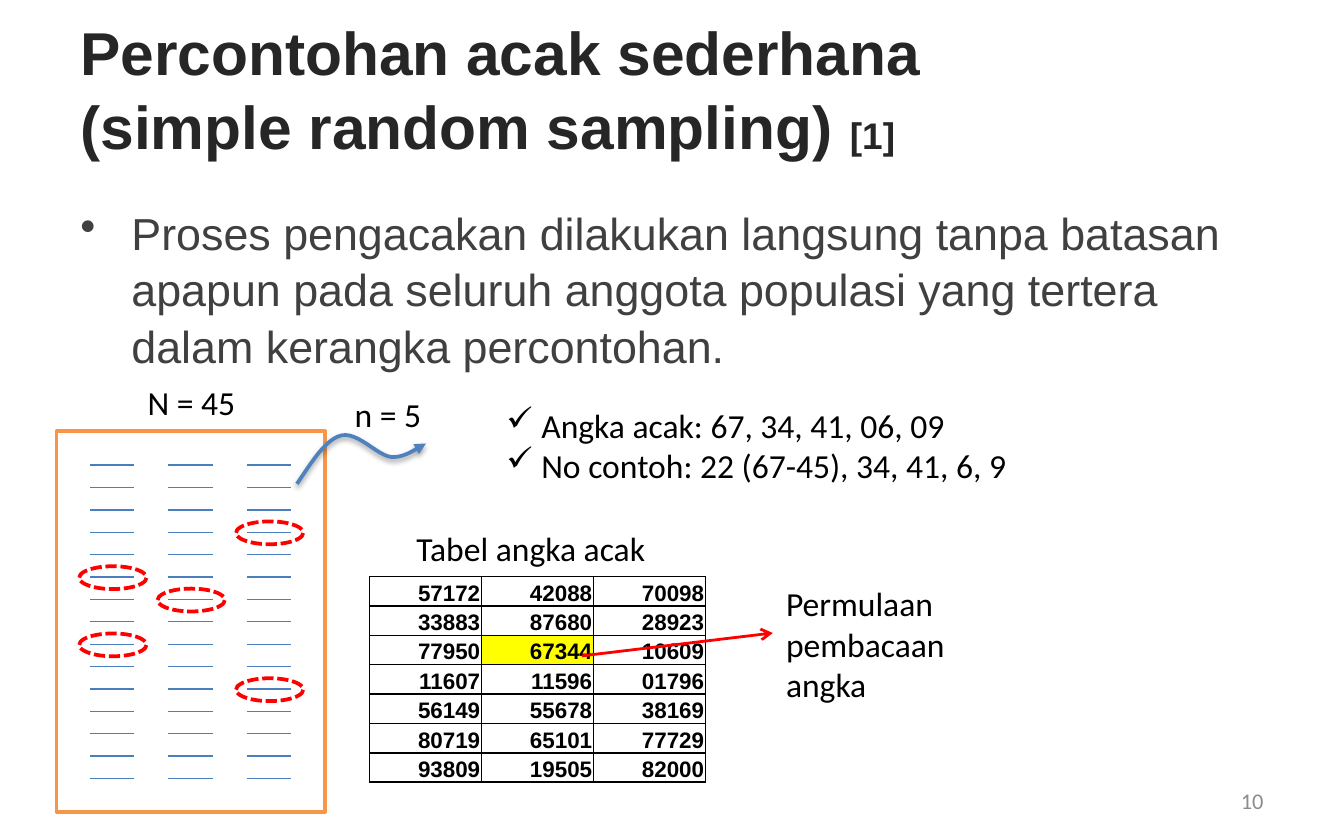
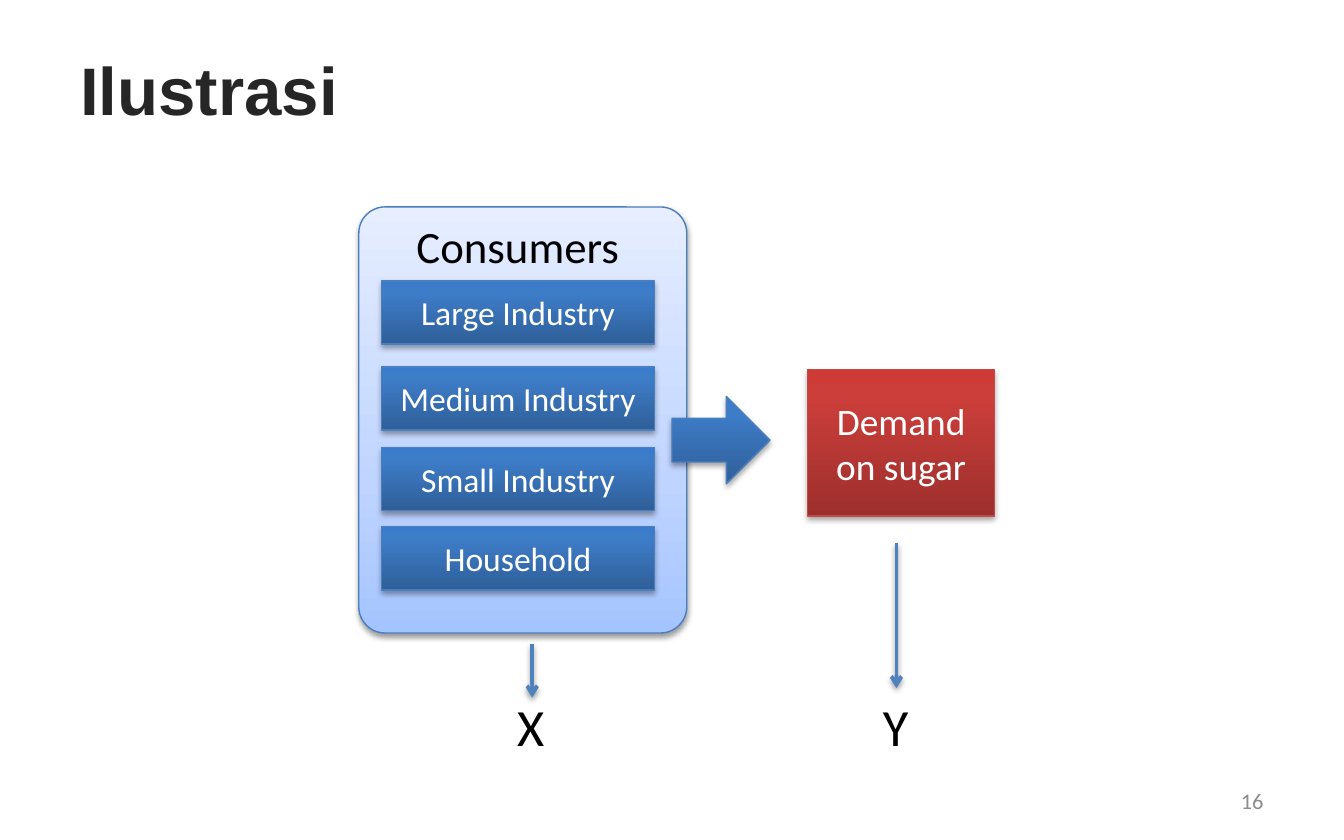
"""Build two slides on simple random sampling and a sugar demand illustration."""
import copy
from dataclasses import dataclass

import pptx
import pptx.dml.color
import pptx.enum.dml
import pptx.enum.shapes
import pptx.enum.text
import pptx.oxml.ns
import pptx.util
from lxml import etree

Inches = pptx.util.Inches
Pt = pptx.util.Pt
RGB = pptx.dml.color.RGBColor.from_string
qn = pptx.oxml.ns.qn
ALIGN = pptx.enum.text.PP_ALIGN
ANCHOR = pptx.enum.text.MSO_ANCHOR
SHAPE = pptx.enum.shapes.MSO_SHAPE
STRAIGHT = pptx.enum.shapes.MSO_CONNECTOR.STRAIGHT


@dataclass(frozen=True)
class Theme:
    heading: str = "Arial"
    body: str = "Calibri"
    black: str = "000000"
    white: str = "FFFFFF"
    title: str = "262626"
    prose: str = "404040"
    muted: str = "8C8C8C"
    blue: str = "4F81BD"
    blue_edge: str = "4B7EBC"
    red_edge: str = "BF4C48"
    orange: str = "F79646"
    red: str = "FF0000"
    yellow: str = "FFFF00"
    pale_gradient: tuple = ((0, "A4C4FF"), (0.35, "BFD4FF"), (1, "E6EEFF"))
    blue_gradient: tuple = ((0, "2F5F99"), (0.8, "3D7CC7"), (1, "3A7CCB"))
    red_gradient: tuple = ((0, "9C2F2D"), (0.8, "CB3E3A"), (1, "CE3B37"))
    soft_shadow: tuple = (38, 3.1, 1.6)
    deep_shadow: tuple = (35, 3.1, 1.8)
    long_title_size: float = 32.4
    note_size: float = 19.8
    title_size: float = 36
    axis_size: float = 28
    lead_size: float = 24
    demand_size: float = 20
    label_size: float = 18
    small_size: float = 12


theme = Theme()


def write(frame, text, size=theme.label_size, color=theme.black, font=theme.body,
          bold=False, align=ALIGN.LEFT, anchor=ANCHOR.TOP, wrap=True, grow=False,
          bullet="", indent=0, spacing=None, note=""):
    frame.word_wrap = wrap
    frame.vertical_anchor = anchor
    if grow:
        frame.auto_size = pptx.enum.text.MSO_AUTO_SIZE.SHAPE_TO_FIT_TEXT
    frame.text = text
    if note:
        frame.paragraphs[-1].add_run().text = note
    for paragraph in frame.paragraphs:
        paragraph.alignment = align
        if spacing:
            paragraph.line_spacing = spacing
        if bullet:
            properties = paragraph._p.get_or_add_pPr()
            properties.set("marL", str(Inches(indent)))
            properties.set("indent", str(-Inches(indent)))
            etree.SubElement(properties, qn("a:buChar"), char=bullet)
        for run in paragraph.runs:
            run.font.name = font
            run.font.size = Pt(size)
            run.font.bold = bold
            run.font.color.rgb = RGB(color)
    if note:
        frame.paragraphs[-1].runs[-1].font.size = Pt(theme.note_size)


def decorate(shape, line, width=0.75, fill=None, dash=None, tail=None, shadow=None):
    properties = shape._element.spPr
    if isinstance(fill, tuple):
        shape.fill.gradient()
        shape.fill.gradient_angle = 90
        stops = properties.find(".//" + qn("a:gsLst"))
        stops.append(copy.deepcopy(stops[0]))
        for stop, (position, color) in zip(shape.fill.gradient_stops, fill):
            stop.position = position
            stop.color.rgb = RGB(color)
    elif fill:
        shape.fill.solid()
        shape.fill.fore_color.rgb = RGB(fill)
    elif hasattr(shape, "fill"):
        shape.fill.background()
    shape.line.color.rgb = RGB(line)
    shape.line.width = Pt(width)
    if dash:
        shape.line.dash_style = dash
    if tail:
        etree.SubElement(properties.find(qn("a:ln")), qn("a:tailEnd"), type=tail)
    effects = etree.SubElement(properties, qn("a:effectLst"))
    if shadow:
        opacity, blur, distance = shadow
        outer = etree.SubElement(effects, qn("a:outerShdw"), blurRad=str(Pt(blur)),
                                 dist=str(Pt(distance)), dir="5400000", rotWithShape="0")
        tint = etree.SubElement(outer, qn("a:srgbClr"), val=theme.black)
        etree.SubElement(tint, qn("a:alpha"), val=str(opacity * 1000))


deck = pptx.Presentation()
deck.slide_width, deck.slide_height = Inches(10), Inches(6.25)

pages = []
for heading, note, size, number in (
    ("Percontohan acak sederhana \v(simple random sampling) ", "[1]", theme.long_title_size, "10"),
    ("Ilustrasi", "", theme.title_size, "16"),
):
    page = deck.slides.add_slide(deck.slide_layouts[6])
    pages.append(page.shapes)
    title = page.shapes.add_textbox(Inches(0.5), Inches(0.13), Inches(9), Inches(1.04))
    write(title.text_frame, heading, size=size, color=theme.title, font=theme.heading,
          bold=True, anchor=ANCHOR.MIDDLE, spacing=1.03, note=note)
    page_number = page.shapes.add_textbox(Inches(7.17), Inches(5.79), Inches(2.33), Inches(0.33))
    write(page_number.text_frame, number, size=theme.small_size, color=theme.muted,
          align=ALIGN.RIGHT, anchor=ANCHOR.MIDDLE)
sampling, illustration = pages

definition = sampling.add_textbox(Inches(0.5), Inches(1.46), Inches(9), Inches(1.58))
write(definition.text_frame,
      "Proses pengacakan dilakukan langsung tanpa batasan apapun pada seluruh anggota "
      "populasi yang tertera dalam kerangka percontohan.",
      size=theme.lead_size, color=theme.prose, font=theme.heading,
      bullet="•", indent=0.38, spacing=1.05)

population = sampling.add_shape(SHAPE.RECTANGLE, Inches(0.42), Inches(3.21), Inches(2), Inches(2.83))
decorate(population, theme.orange, 2, fill=theme.white)

member_x = [0.67 + column * 7 / 12 for column in range(3)]
member_y = [3.46 + row / 6 for row in range(15)]
for x in member_x:
    for y in member_y:
        member = sampling.add_connector(STRAIGHT, Inches(x), Inches(y), Inches(x + 0.33), Inches(y))
        decorate(member, theme.blue_edge)

random_numbers = (
    ("57172", "42088", "70098"),
    ("33883", "87680", "28923"),
    ("77950", "67344", "10609"),
    ("11607", "11596", "01796"),
    ("56149", "55678", "38169"),
    ("80719", "65101", "77729"),
    ("93809", "19505", "82000"),
)
number_table = sampling.add_table(7, 3, Inches(2.75), Inches(4.29), Inches(2.5), Inches(1.53)).table
number_table.first_row = number_table.horz_banding = False
for row, numbers in enumerate(random_numbers):
    for column, number in enumerate(numbers):
        cell = number_table.cell(row, column)
        cell.margin_left = cell.margin_right = cell.margin_top = Inches(0.01)
        cell.margin_bottom = 0
        cell.vertical_anchor = ANCHOR.BOTTOM
        write(cell.text_frame, number, size=theme.small_size, font=theme.heading,
              bold=True, align=ALIGN.RIGHT, anchor=None)
        for side in ("a:lnL", "a:lnR", "a:lnT", "a:lnB"):
            border = etree.SubElement(cell._tc.get_or_add_tcPr(), qn(side), w=str(Pt(1)))
            ink = etree.SubElement(border, qn("a:solidFill"))
            etree.SubElement(ink, qn("a:srgbClr"), val=theme.black)
        if number == "67344":
            cell.fill.solid()
            cell.fill.fore_color.rgb = RGB(theme.yellow)
        else:
            cell.fill.background()

curves = (
    ((2.21, 3.6), (2.32, 3.44), (2.42, 3.27), (2.54, 3.24)),
    ((2.54, 3.24), (2.66, 3.21), (2.81, 3.39), (2.91, 3.4)),
    ((2.91, 3.4), (3.02, 3.41), (3.12, 3.32), (3.17, 3.3)),
)
wave = []
for curve in curves:
    for step in range(1, 13):
        t = step / 12
        weights = ((1 - t) ** 3, 3 * t * (1 - t) ** 2, 3 * t ** 2 * (1 - t), t ** 3)
        wave.append([Inches(sum(w * point[axis] for w, point in zip(weights, curve)))
                     for axis in (0, 1)])
builder = sampling.build_freeform(Inches(2.21), Inches(3.6))
builder.add_line_segments(wave, close=False)
draw_arrow = builder.convert_to_shape()
decorate(draw_arrow, theme.blue, 2, tail="triangle", shadow=theme.soft_shadow)

for column, row in ((0, 5), (0, 8), (1, 6), (2, 3), (2, 10)):
    chosen = sampling.add_shape(SHAPE.OVAL, Inches(member_x[column] - 0.08),
                                Inches(member_y[row] - 0.08), Inches(0.5), Inches(0.17))
    decorate(chosen, theme.red, 2, dash=pptx.enum.dml.MSO_LINE.SQUARE_DOT)

reading_start = sampling.add_connector(STRAIGHT, Inches(4.33), Inches(4.88), Inches(5.75), Inches(4.71))
decorate(reading_start, theme.red, 1.5, tail="arrow")

for text, box, layout in (
    ("N = 45", (1, 2.79, 0.86, 0.4), {"wrap": False}),
    ("n = 5", (2.54, 2.88, 0.71, 0.4), {"wrap": False}),
    ("Angka acak: 67, 34, 41, 06, 09\nNo contoh: 22 (67-45), 34, 41, 6, 9",
     (3.67, 2.96, 3.97, 0.71), {"wrap": False, "bullet": "✓", "indent": 0.26}),
    ("Tabel angka acak", (3, 3.88, 1.92, 0.4), {"wrap": False}),
    ("Permulaan pembacaan angka", (5.75, 4.29, 1.58, 1.01), {}),
):
    label = sampling.add_textbox(*map(Inches, box))
    write(label.text_frame, text, grow=True, **layout)

consumers = illustration.add_shape(SHAPE.ROUNDED_RECTANGLE, Inches(2.67), Inches(1.54),
                                   Inches(2.44), Inches(3.17))
consumers.adjustments[0] = 0.08
decorate(consumers, theme.blue_edge, fill=theme.pale_gradient, shadow=theme.soft_shadow)

for segment, top in (("Large Industry", 2.09), ("Medium Industry", 2.73),
                     ("Small Industry", 3.33), ("Household", 3.92)):
    consumer = illustration.add_shape(SHAPE.RECTANGLE, Inches(2.84), Inches(top),
                                      Inches(2.03), Inches(0.47))
    decorate(consumer, theme.blue_edge, fill=theme.blue_gradient, shadow=theme.deep_shadow)
    write(consumer.text_frame, segment, color=theme.white, align=ALIGN.CENTER, anchor=ANCHOR.MIDDLE)

influence = illustration.add_shape(SHAPE.RIGHT_ARROW, Inches(5), Inches(2.95), Inches(0.73), Inches(0.65))
decorate(influence, theme.blue_edge, fill=theme.blue_gradient, shadow=theme.deep_shadow)

demand = illustration.add_shape(SHAPE.RECTANGLE, Inches(6.01), Inches(2.75), Inches(1.39), Inches(1.09))
decorate(demand, theme.red_edge, fill=theme.red_gradient, shadow=theme.deep_shadow)
write(demand.text_frame, "Demand on sugar", size=theme.demand_size, color=theme.white,
      align=ALIGN.CENTER, anchor=ANCHOR.MIDDLE)

variables = {}
for text, box, size in (
    ("Consumers", (3, 1.58, 1.72, 0.5), theme.lead_size),
    ("Y", (6.47, 5.12, 0.4, 0.57), theme.axis_size),
    ("X", (3.75, 5.12, 0.41, 0.57), theme.axis_size),
):
    variables[text] = illustration.add_textbox(*map(Inches, box))
    write(variables[text].text_frame, text, size=size, wrap=False, grow=True)

for name, x, top, bottom in (("Y", 6.67, 4.04, 5.12), ("X", 3.96, 4.79, 5.19)):
    pointer = illustration.add_connector(STRAIGHT, Inches(x), Inches(top), Inches(x), Inches(bottom))
    if name == "Y":
        pointer.end_connect(variables[name], 0)
    decorate(pointer, theme.blue, 2, tail="arrow", shadow=theme.soft_shadow)

deck.save("out.pptx")
